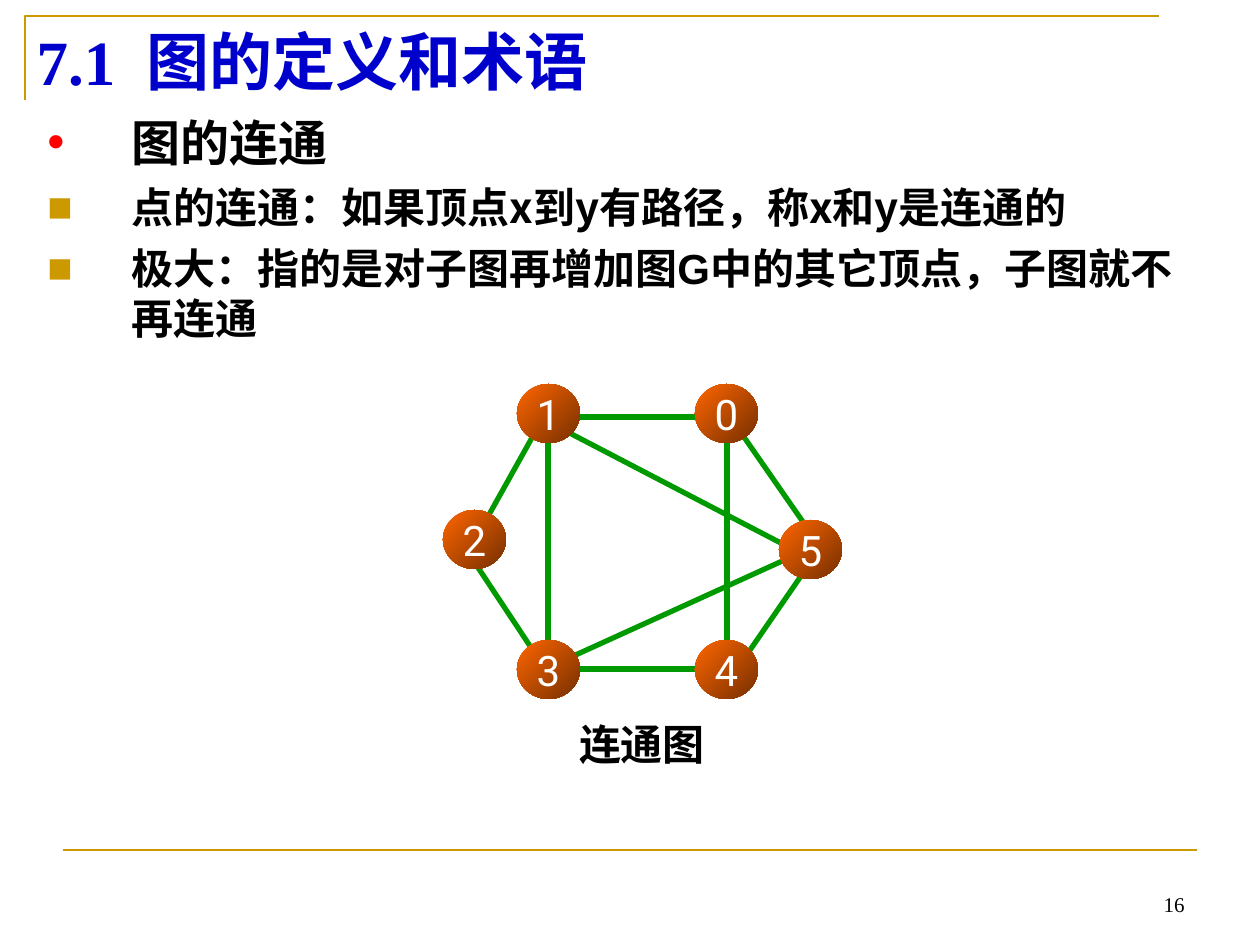
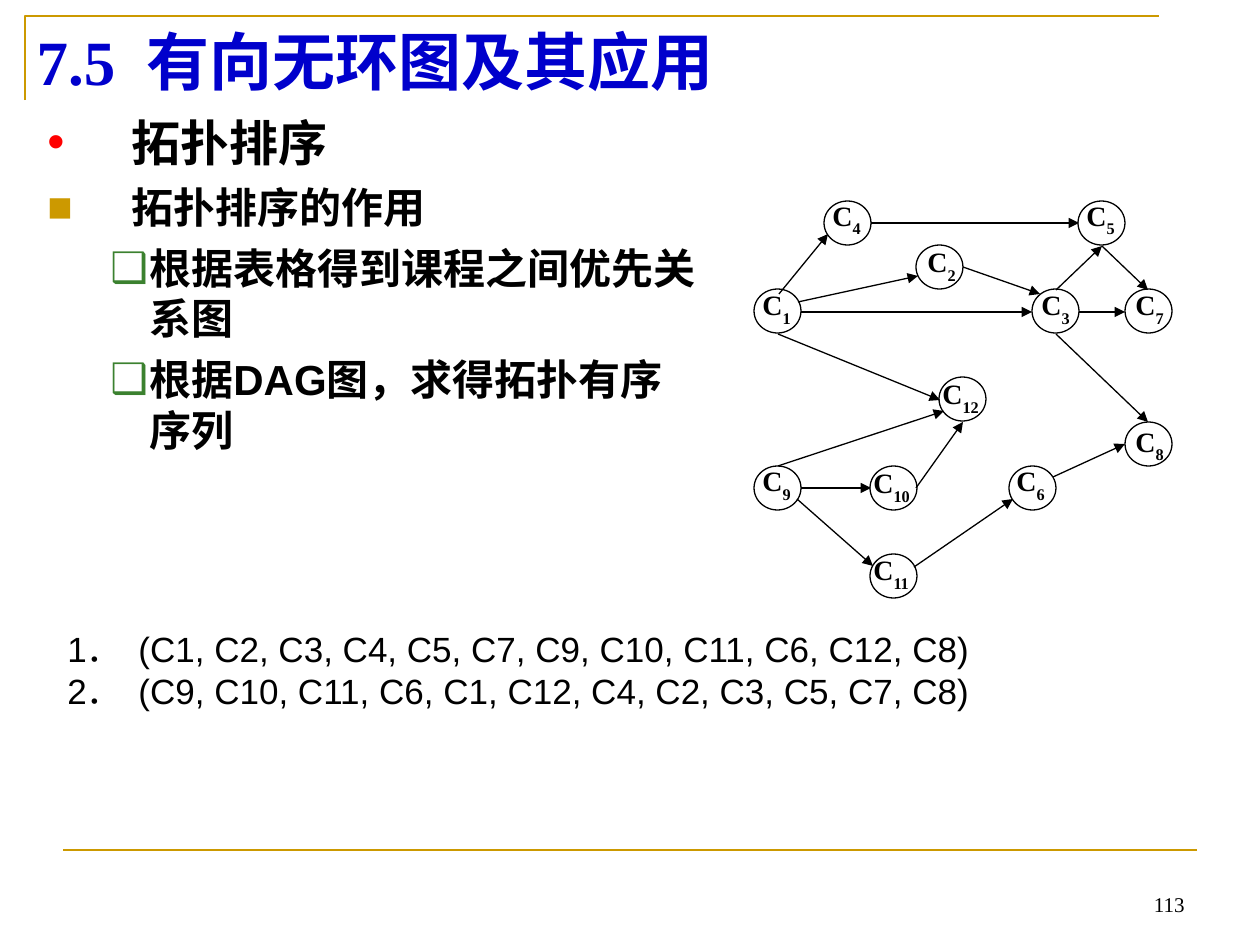
from lxml.etree import SubElement
from pptx import Presentation
from pptx.dml.color import RGBColor
from pptx.enum.dml import MSO_LINE
from pptx.enum.shapes import MSO_CONNECTOR, MSO_SHAPE
from pptx.enum.text import MSO_ANCHOR, MSO_AUTO_SIZE, PP_ALIGN
from pptx.oxml.ns import qn
from pptx.util import Emu, Pt

COLORS = {
    "gold": "CC9900", "title": "0000CC", "text": "000000", "white": "FFFFFF",
    "dot": "FF0000", "check": "3B812F", "edge": "009900",
    "node_light": "FF6600", "node_dark": "762F00",
}
SERIF, SANS, ROUND, CHINESE = "Times New Roman", "Arial", "Roboto", "Noto Sans CJK SC"

BULLETS = {
    "topic": ("•", "dot", 84, 84, 28),
    "point": ("■", "gold", 84, 84, 24),
    "detail": ("❑", "check", 102, 39, 24),
}

NODE_WIDTH, NODE_HEIGHT = 63, 59
NODES = {
    "1": (517, 384), "3": (517, 640), "2": (443, 510),
    "5": (779, 520), "4": (695, 640), "0": (695, 384),
}
EDGES = [
    (706, 417, 580, 417), (727, 437, 727, 648), (737, 427, 810, 532),
    (538, 427, 485, 522), (548, 658, 548, 437), (800, 553, 558, 427),
    (538, 658, 475, 563), (716, 669, 558, 669), (800, 553, 569, 658),
    (810, 563, 737, 669),
]

GRID_LEFT, GRID_TOP, GRID_COLUMN, GRID_ROW = 754, 201, 23.17, 44.1
COURSE_WIDTH, COURSE_HEIGHT = 47, 44
COURSES = {
    "4": (3, 0, -4, -9), "5": (14, 0, -4, -9), "1": (0, 2, -4, -8),
    "2": (7, 1, -1, -7), "3": (12, 2, -3, -8), "7": (16, 2, -2, -8),
    "12": (8, 4, -9, -7), "8": (16, 5, -2, -4), "6": (11, 6, -5, -9),
    "9": (0, 6, -4, -9), "10": (5, 6, -9, -7), "11": (5, 8, -9, -8),
}
PREREQUISITES = [
    (1056, 290, 1102, 246), (1102, 246, 1148, 290), (916, 488, 963, 422),
    (778, 334, 940, 400), (801, 488, 871, 488), (797, 499, 873, 566),
    (914, 567, 1013, 499), (963, 267, 1040, 294), (1053, 477, 1125, 444),
    (1079, 312, 1125, 312), (798, 302, 918, 276), (871, 223, 1079, 223),
    (779, 294, 828, 234), (801, 312, 1032, 312), (1056, 334, 1148, 422),
    (778, 466, 944, 411),
]


def px(length):
    """Turn pixels into EMU."""
    return Emu(round(length * 914400 / 126))


def rgb(name):
    """Look up a named colour."""
    return RGBColor.from_string(COLORS[name])


def style(paragraph, size, face, color="text", bold=False):
    """Set the font shared by all runs of a paragraph."""
    font = paragraph.font
    font.size, font.bold, font.name = Pt(size), bold, face
    font.color.rgb = rgb(color)
    defaults = paragraph._p.pPr.find(qn("a:defRPr"))
    SubElement(defaults, qn("a:ea")).set("typeface", CHINESE)


def set_indent(paragraph, left, hanging):
    """Give a paragraph a hanging indent."""
    properties = paragraph._p.get_or_add_pPr()
    properties.set("marL", str(px(left)))
    properties.set("indent", str(-px(hanging)))


def add_tab(paragraph, position):
    """Add a left tab stop."""
    stops = SubElement(paragraph._p.get_or_add_pPr(), qn("a:tabLst"))
    stop = SubElement(stops, qn("a:tab"))
    stop.set("pos", str(px(position)))
    stop.set("algn", "l")


def add_bullet(paragraph, symbol, color):
    """Give a paragraph a coloured bullet."""
    properties = paragraph._p.get_or_add_pPr()
    bullet_color = SubElement(properties, qn("a:buClr"))
    SubElement(bullet_color, qn("a:srgbClr")).set("val", COLORS[color])
    SubElement(properties, qn("a:buFont")).set("typeface", SANS)
    SubElement(properties, qn("a:buChar")).set("char", symbol)


def add_text_box(slide, left, top, width, height):
    """Add an empty text box and return its text frame."""
    frame = slide.shapes.add_textbox(px(left), px(top), px(width), px(height)).text_frame
    frame.word_wrap = True
    return frame


def add_paragraphs(frame, texts):
    """Fill a frame with one paragraph per text and yield each."""
    for index, text in enumerate(texts):
        paragraph = frame.add_paragraph() if index else frame.paragraphs[0]
        paragraph.text = text
        yield paragraph


def add_line(slide, ends, color, weight, arrow=False):
    """Draw a straight line, with an arrowhead at its end if asked."""
    line = slide.shapes.add_connector(MSO_CONNECTOR.STRAIGHT, *map(px, ends))
    line.line.color.rgb = rgb(color)
    line.line.width = Pt(weight)
    line.line.dash_style = MSO_LINE.SOLID
    if arrow:
        outline = line.line._get_or_add_ln()
        SubElement(outline, qn("a:tailEnd")).set("type", "triangle")
    SubElement(line._element.spPr, qn("a:effectLst"))


def add_ellipse(slide, left, top, width, height):
    """Add an ellipse without shadow."""
    ellipse = slide.shapes.add_shape(
        MSO_SHAPE.OVAL, px(left), px(top), px(width), px(height))
    ellipse.shadow.inherit = False
    return ellipse


def add_frame(slide):
    """Draw the gold corner and the footer rule."""
    builder = slide.shapes.build_freeform(px(25), px(100))
    builder.add_line_segments([(px(25), px(16)), (px(1159), px(16))], close=False)
    corner = builder.convert_to_shape()
    corner.shadow.inherit = False
    corner.fill.background()
    corner.line.color.rgb = rgb("gold")
    corner.line.width = Pt(1.5)
    add_line(slide, (63, 850, 1197, 850), "gold", 1.5)


def add_title(slide, section, heading):
    """Place the section number and heading in the title placeholder."""
    title = slide.shapes.title
    title.left, title.top, title.width, title.height = map(px, (24, 16, 1134, 89))
    frame = title.text_frame
    frame.auto_size = MSO_AUTO_SIZE.NONE
    frame.vertical_anchor = MSO_ANCHOR.MIDDLE
    paragraph = frame.paragraphs[0]
    paragraph.text = f"{section}\t{heading}"
    paragraph.alignment = PP_ALIGN.LEFT
    add_tab(paragraph, 110)
    style(paragraph, 36, SERIF, "title", True)


def add_page_number(slide, number):
    """Write the page number at the lower right."""
    frame = add_text_box(slide, 903, 860, 294, 63)
    frame.vertical_anchor = MSO_ANCHOR.BOTTOM
    paragraph = frame.paragraphs[0]
    paragraph.text = str(number)
    paragraph.alignment = PP_ALIGN.RIGHT
    style(paragraph, 12, SERIF)


def add_outline(slide, width, height, items):
    """Write the bulleted outline; items are kind, face and text."""
    frame = add_text_box(slide, 35, 106, width, height)
    paragraphs = add_paragraphs(frame, [text for _, _, text in items])
    for index, (paragraph, (kind, face, _)) in enumerate(zip(paragraphs, items)):
        symbol, color, left, hanging, size = BULLETS[kind]
        if index:
            paragraph.space_before = Pt(6)
        set_indent(paragraph, left, hanging)
        add_bullet(paragraph, symbol, color)
        style(paragraph, size, face, bold=True)


def add_node(slide, label, left, top):
    """Draw a numbered graph vertex."""
    node = add_ellipse(slide, left, top, NODE_WIDTH, NODE_HEIGHT)
    node.line.fill.background()
    node.fill.gradient()
    node.fill.gradient_angle = 315
    for stop, position, color in zip(
            node.fill.gradient_stops, (0, 1), ("node_light", "node_dark")):
        stop.position = position
        stop.color.rgb = rgb(color)
    frame = node.text_frame
    frame.word_wrap = False
    frame.margin_left = frame.margin_right = 0
    frame.vertical_anchor = MSO_ANCHOR.MIDDLE
    paragraph = frame.paragraphs[0]
    paragraph.text = label
    paragraph.alignment = PP_ALIGN.CENTER
    style(paragraph, 24, ROUND, "white")


def add_course_label(slide, number, left, top):
    """Write C with the course number as a subscript."""
    frame = add_text_box(slide, left, top, 62 if len(number) > 1 else 53, 53)
    frame.margin_right = 0
    frame.vertical_anchor = MSO_ANCHOR.MIDDLE
    paragraph = frame.paragraphs[0]
    paragraph.add_run().text = "C"
    span = paragraph.add_run()
    span.text = number
    span._r.get_or_add_rPr().set("baseline", "-30000")
    style(paragraph, 16, SERIF, bold=True)


def add_connected_graph(slide):
    """Draw the connected graph with its caption."""
    for ends in EDGES:
        add_line(slide, ends, "edge", 3)
    for label, (left, top) in NODES.items():
        add_node(slide, label, left, top)
    frame = add_text_box(slide, 532, 712, 220, 63)
    for paragraph in add_paragraphs(frame, ["连通图"]):
        paragraph.alignment = PP_ALIGN.CENTER
        style(paragraph, 24, ROUND, bold=True)


def add_course_graph(slide):
    """Draw the courses on their grid and the arrows between them."""
    labels = []
    for number, (column, row, shift_x, shift_y) in COURSES.items():
        left = round(GRID_LEFT + column * GRID_COLUMN)
        top = round(GRID_TOP + row * GRID_ROW)
        circle = add_ellipse(slide, left, top, COURSE_WIDTH, COURSE_HEIGHT)
        circle.fill.solid()
        circle.fill.fore_color.rgb = rgb("white")
        circle.line.color.rgb = rgb("text")
        circle.line.width = Pt(0.75)
        labels.append((number, left + shift_x, top + shift_y))
    for ends in PREREQUISITES:
        add_line(slide, ends, "text", 0.75, arrow=True)
    for label in labels:
        add_course_label(slide, *label)


def add_orders(slide, orders):
    """List the numbered topological orders."""
    frame = add_text_box(slide, 55, 621, 1012, 97)
    lines = [f"{number}．\t({', '.join(f'C{course}' for course in order)})"
             for number, order in enumerate(orders, 1)]
    for paragraph in add_paragraphs(frame, lines):
        set_indent(paragraph, 71, 71)
        add_tab(paragraph, 71)
        style(paragraph, 20, SANS)


def add_page(deck, section, heading, number):
    """Add a slide with the shared frame, title and page number."""
    page = deck.slides.add_slide(deck.slide_layouts[5])
    add_frame(page)
    add_title(page, section, heading)
    add_page_number(page, number)
    return page


def main():
    """Build the two slides."""
    deck = Presentation()
    deck.slide_width, deck.slide_height = px(1260), px(945)

    page = add_page(deck, "7.1", "图的定义和术语", 16)
    add_outline(page, 1191, 407, [
        ("topic", CHINESE, "图的连通"),
        ("point", CHINESE, "点的连通：如果顶点x到y有路径，称x和y是连通的"),
        ("point", SANS, "极大：指的是对子图再增加图G中的其它顶点，子图就不再连通"),
    ])
    add_connected_graph(page)

    page = add_page(deck, "7.5", "有向无环图及其应用", 113)
    add_outline(page, 676, 367, [
        ("topic", CHINESE, "拓扑排序"),
        ("point", CHINESE, "拓扑排序的作用"),
        ("detail", SANS, "根据表格得到课程之间优先关系图"),
        ("detail", SANS, "根据DAG图，求得拓扑有序序列"),
    ])
    add_course_graph(page)
    add_orders(page, [
        (1, 2, 3, 4, 5, 7, 9, 10, 11, 6, 12, 8),
        (9, 10, 11, 6, 1, 12, 4, 2, 3, 5, 7, 8),
    ])
    deck.save("out.pptx")


if __name__ == "__main__":
    main()
